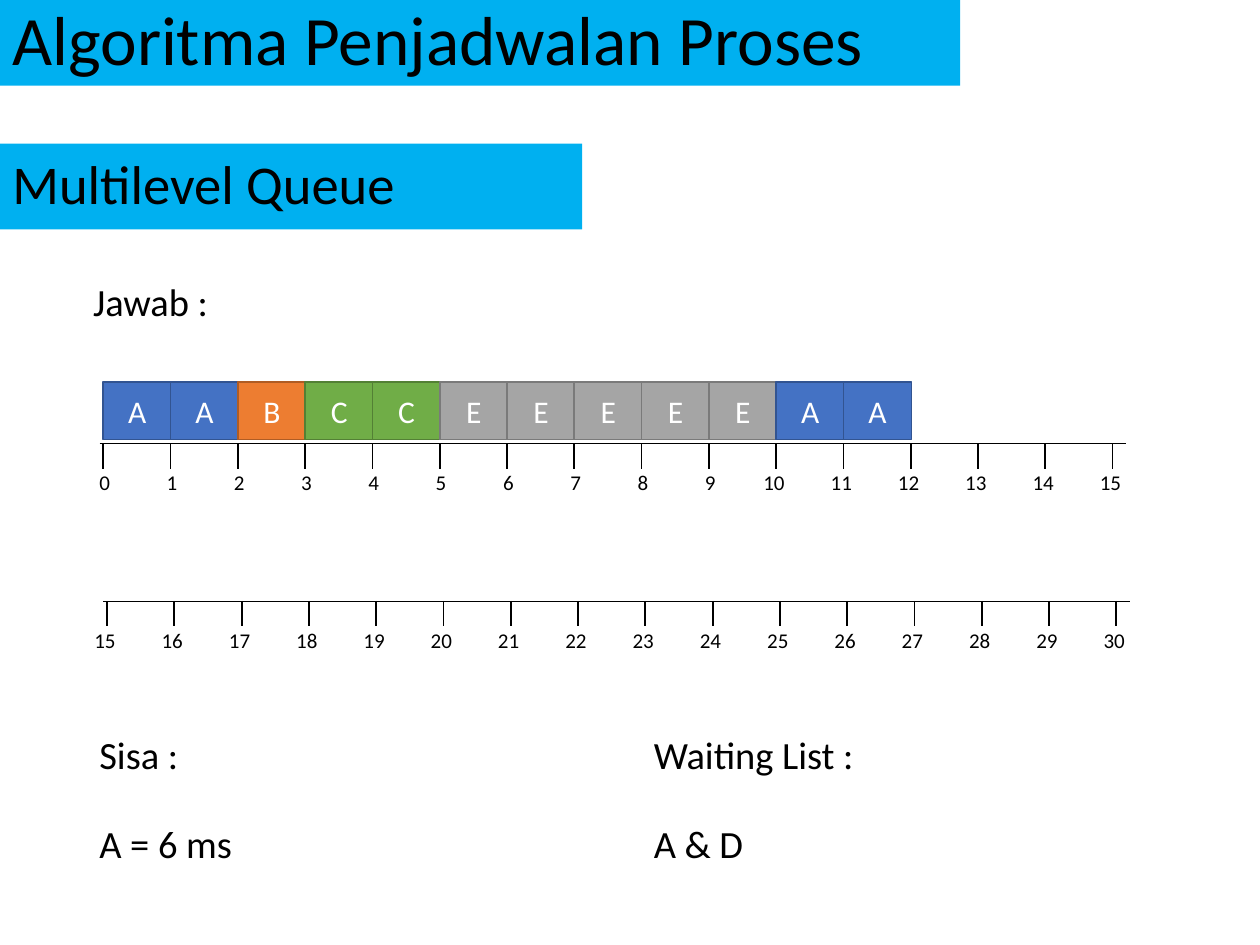
from lxml.etree import SubElement
from pptx import Presentation
from pptx.dml.color import RGBColor
from pptx.enum.shapes import MSO_CONNECTOR, MSO_SHAPE
from pptx.enum.text import MSO_ANCHOR, PP_ALIGN
from pptx.oxml.ns import qn
from pptx.util import Inches, Pt

BLACK = RGBColor(0x00, 0x00, 0x00)
WHITE = RGBColor(0xFF, 0xFF, 0xFF)
CYAN = RGBColor(0x00, 0xB0, 0xF0)
TONES = {
    "A": (RGBColor(0x44, 0x72, 0xC4), RGBColor(0x32, 0x54, 0x91)),
    "B": (RGBColor(0xED, 0x7D, 0x31), RGBColor(0xAF, 0x5C, 0x24)),
    "C": (RGBColor(0x70, 0xAD, 0x47), RGBColor(0x53, 0x80, 0x35)),
    "E": (RGBColor(0xA5, 0xA5, 0xA5), RGBColor(0x7A, 0x7A, 0x7A)),
}
STEPS = 15
PITCH = 8.01 / STEPS


def write(shape, text, size, color=BLACK, align=PP_ALIGN.LEFT):
    """Write one paragraph into a shape and return it."""
    frame = shape.text_frame
    frame.word_wrap = True
    para = frame.paragraphs[0]
    para.text = text
    para.alignment = align
    para.font.name = "Calibri"
    para.font.size = Pt(size)
    para.font.color.rgb = color
    return para


def add_rect(slide, x, y, w, h, fill):
    """Add a filled rectangle with its text anchored in the middle."""
    rect = slide.shapes.add_shape(
        MSO_SHAPE.RECTANGLE, Inches(x), Inches(y), Inches(w), Inches(h))
    rect.shadow.inherit = False
    rect.fill.solid()
    rect.fill.fore_color.rgb = fill
    rect.text_frame.vertical_anchor = MSO_ANCHOR.MIDDLE
    return rect


def add_banner(slide, x, y, w, h, text, size):
    """Add a heading on a coloured band."""
    band = add_rect(slide, x, y, w, h, CYAN)
    band.line.fill.background()
    write(band, text, size).line_spacing = 0.9


def add_note(slide, x, y, w, h, text, size=22, align=PP_ALIGN.JUSTIFY):
    """Add a plain text box."""
    box = slide.shapes.add_textbox(Inches(x), Inches(y), Inches(w), Inches(h))
    write(box, text, size, align=align)


def add_line(shapes, x1, y1, x2, y2, width):
    """Add a straight black line."""
    line = shapes.add_connector(
        MSO_CONNECTOR.STRAIGHT, Inches(x1), Inches(y1), Inches(x2), Inches(y2))
    line.line.color.rgb = BLACK
    line.line.width = Pt(width)
    SubElement(line._element.spPr, qn("a:effectLst"))


def add_axis(slide, x, y, w, first):
    """Add a time axis with numbered ticks, counting from first."""
    add_line(slide.shapes, x, y, x + w, y, 0.5)
    for step in range(STEPS + 1):
        tick = x + 0.03 + step * PITCH
        add_line(slide.shapes, tick, y, tick, y + 0.2, 1)
        label = str(first + step)
        shift, wide = (0.13, 0.33) if len(label) == 1 else (0.2, 0.42)
        add_note(slide, tick - shift, y + 0.16, wide, 0.3, label, 12, PP_ALIGN.LEFT)


def add_blocks(slide, x, y, w, h, names):
    """Add one block per time unit, coloured by process."""
    for step, name in enumerate(names):
        fill, edge = TONES[name]
        block = add_rect(slide, x + step * PITCH, y, w, h, fill)
        block.line.color.rgb = edge
        block.line.width = Pt(1)
        write(block, name, 18, WHITE, PP_ALIGN.CENTER)


def main():
    """Build the slide and save it."""
    deck = Presentation()
    deck.slide_width, deck.slide_height = Inches(10), Inches(7.5)
    slide = deck.slides.add_slide(deck.slide_layouts[6])
    add_banner(slide, 0, 0, 7.62, 0.68, "Algoritma Penjadwalan Proses", 39.6)
    add_banner(slide, 0, 1.14, 4.62, 0.68, "Multilevel Queue", 31.2)
    add_note(slide, 0.64, 2.16, 1.98, 0.47, "Jawab :")
    add_axis(slide, 0.79, 3.52, 8.15, 0)
    add_blocks(slide, 0.82, 3.03, 0.54, 0.46, "AABCCEEEEEAA")
    add_axis(slide, 0.82, 4.77, 8.15, STEPS)
    for x, head, body in ((0.69, "Sisa :", "A = 6 ms"),
                          (5.09, "Waiting List :", "A & D")):
        add_note(slide, x, 5.75, 1.98, 0.47, head)
        add_note(slide, x, 6.46, 1.98, 0.47, body)
    deck.save("out.pptx")


if __name__ == "__main__":
    main()
